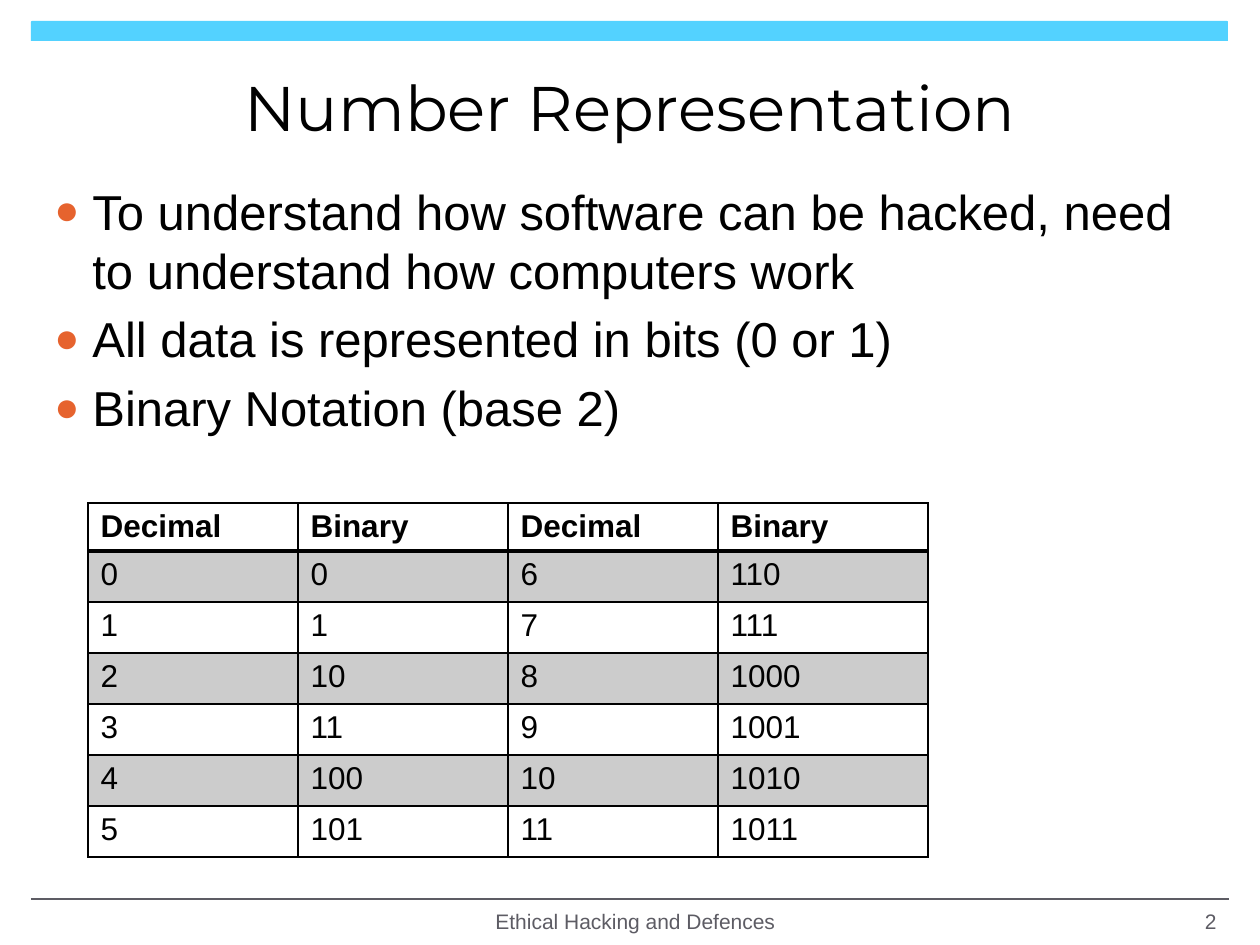
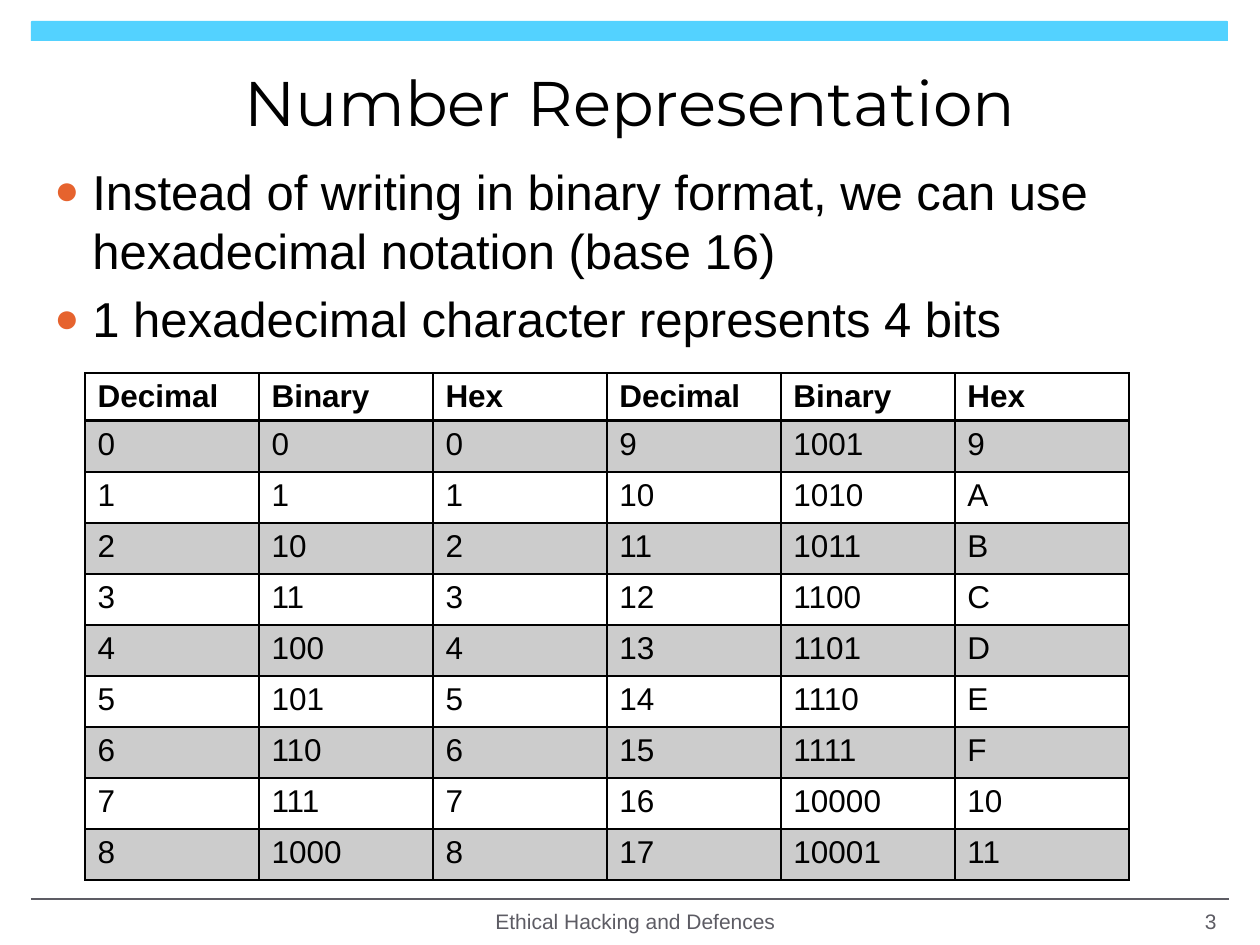
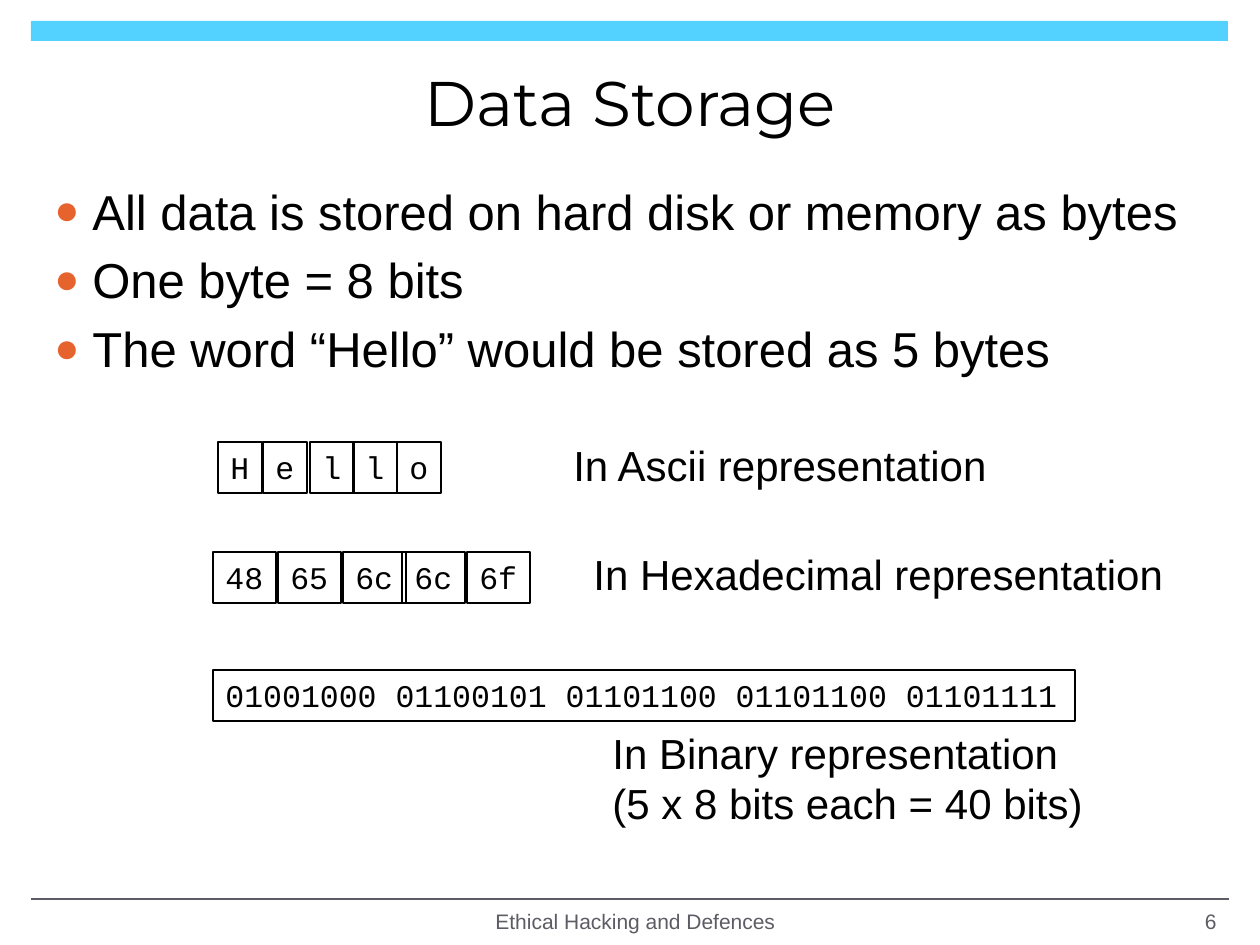
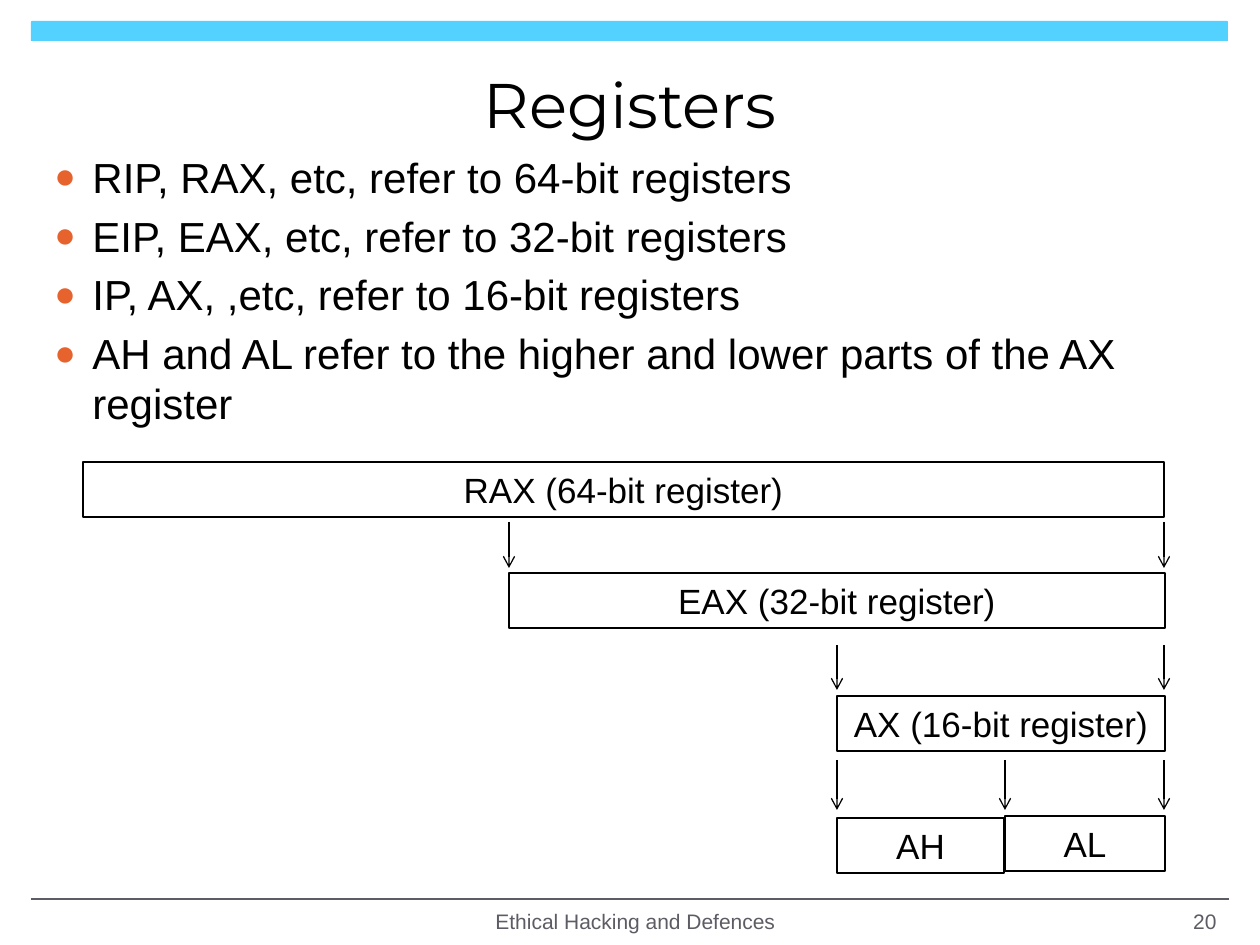
import lxml.etree
import pptx
import pptx.dml.color
import pptx.enum.shapes
import pptx.enum.text
import pptx.oxml.ns
import pptx.util

PX = 914400 / 126
BLACK, GREY, SKY, ORANGE = "000000", "5D5C64", "53D2FF", "E6632E"
BODY_FONT, TITLE_FONT, CODE_FONT = "Arial", "Montserrat", "Courier New"
FOOTER = "Ethical Hacking and Defences"
SHAPE = pptx.enum.shapes.MSO_SHAPE
ALIGN = pptx.enum.text.PP_ALIGN
ANCHOR = pptx.enum.text.MSO_ANCHOR
AUTO = pptx.enum.text.MSO_AUTO_SIZE


def px(*lengths):
    """Turn pixel lengths into a list of EMU."""
    return [round(n * PX) for n in lengths]


def rgb(code):
    """Turn a hex string into a colour."""
    return pptx.dml.color.RGBColor.from_string(code)


def sub(parent, tag, **attrs):
    """Append a DrawingML child element."""
    return lxml.etree.SubElement(parent, pptx.oxml.ns.qn("a:" + tag), attrs)


def add_run(p, text, size, font=BODY_FONT, color=BLACK, bold=False):
    """Add a formatted run to a paragraph."""
    r = p.add_run()
    r.text = text
    r.font.size = pptx.util.Pt(size)
    r.font.name = font
    r.font.bold = bold
    r.font.color.rgb = rgb(color)


def write(sp, lines, size, font=BODY_FONT, color=BLACK, align=ALIGN.LEFT,
          anchor=ANCHOR.TOP, wrap=True, grow=False):
    """Write lines into a shape, one paragraph each, and return its paragraphs."""
    tf = sp.text_frame
    tf.word_wrap = wrap
    tf.auto_size = AUTO.SHAPE_TO_FIT_TEXT if grow else AUTO.NONE
    tf.vertical_anchor = anchor
    for i, line in enumerate(lines):
        p = tf.add_paragraph() if i else tf.paragraphs[0]
        p.alignment = align
        add_run(p, line, size, font, color)
    return tf.paragraphs


def add_text(slide, box, lines, size, **style):
    """Add a text box and return its paragraphs."""
    return write(slide.shapes.add_textbox(*px(*box)), lines, size, **style)


def add_box(slide, box, text, size, **style):
    """Add an outlined rectangle holding one line of text."""
    sp = slide.shapes.add_shape(SHAPE.RECTANGLE, *px(*box))
    sp.shadow.inherit = False
    sp.fill.background()
    sp.line.color.rgb = rgb(BLACK)
    sp.line.width = pptx.util.Pt(0.75)
    write(sp, [text], size, grow=True, **style)
    return sp


def add_line(slide, ends, color=BLACK, width=0.75, arrow=False):
    """Add a straight line, with an arrowhead at its end if wanted."""
    c = slide.shapes.add_connector(pptx.enum.shapes.MSO_CONNECTOR.STRAIGHT, *px(*ends))
    c.line.color.rgb = rgb(color)
    c.line.width = pptx.util.Pt(width)
    sp_pr = c._element.spPr
    if arrow:
        sub(sp_pr.find(pptx.oxml.ns.qn("a:ln")), "tailEnd", type="arrow")
    sub(sp_pr, "effectLst")


def add_bullets(slide, top, height, lines, size=28):
    """Add the bulleted body text."""
    paragraphs = add_text(slide, (42, top, 1176, height), lines, size)
    for i, p in enumerate(paragraphs):
        p_pr = p._p.get_or_add_pPr()
        indent = px(38)[0]
        p_pr.set("marL", str(indent))
        p_pr.set("indent", str(-indent))
        sub(sub(p_pr, "buClr"), "srgbClr", val=ORANGE)
        sub(p_pr, "buSzPct", val="85000")
        sub(p_pr, "buFont", typeface=BODY_FONT)
        sub(p_pr, "buChar", char="●")
        if i:
            p.space_before = pptx.util.Pt(size / 5)


def style_cell(cell, row):
    """Draw the borders and fill of a cell by its row."""
    tc_pr = cell._tc.get_or_add_tcPr()
    widths = {"lnL": 1, "lnR": 1, "lnT": 2 if row == 1 else 1, "lnB": 1 if row else 2}
    for side, width in widths.items():
        ln = sub(tc_pr, side, w=str(pptx.util.Pt(width)))
        sub(sub(ln, "solidFill"), "srgbClr", val=BLACK)
    if row % 2:
        shade = sub(sub(tc_pr, "solidFill"), "srgbClr", val=BLACK)
        sub(shade, "alpha", val="20000")
    else:
        cell.fill.background()


def add_grid(slide, left, top, col_width, rows):
    """Add a banded table with a bold header row."""
    header, row_height = 48, 51
    n_rows, n_cols = len(rows), len(rows[0])
    height = header + row_height * (n_rows - 1)
    table = slide.shapes.add_table(
        n_rows, n_cols, *px(left, top, col_width * n_cols, height)).table
    table.horz_banding = False
    for column in table.columns:
        column.width = px(col_width)[0]
    for i, row in enumerate(rows):
        table.rows[i].height = px(row_height if i else header)[0]
        for j, text in enumerate(row):
            cell = table.cell(i, j)
            add_run(cell.text_frame.paragraphs[0], text, 18, bold=i == 0)
            style_cell(cell, i)


def number_rows(count, formats):
    """List the numbers below 2 * count in two halves, side by side."""
    rows = [list(formats) * 2]
    for n in range(count):
        rows.append([format(v, f) for v in (n, n + count) for f in formats.values()])
    return rows


def new_slide(prs, title, number, title_height=127):
    """Add a slide with band, title, rule and footer."""
    slide = prs.slides.add_slide(prs.slide_layouts[6])
    band = slide.shapes.add_shape(SHAPE.ROUND_2_SAME_RECTANGLE, *px(31, 21, 1197, 20))
    band.adjustments[0] = 0.05
    band.adjustments[1] = 0
    band.shadow.inherit = False
    band.fill.solid()
    band.fill.fore_color.rgb = rgb(SKY)
    band.line.fill.background()
    add_line(slide, (31, 899, 1229, 899), GREY, 1)
    add_text(slide, (42, 38, 1176, title_height), [title], 36, font=TITLE_FONT,
             align=ALIGN.CENTER, anchor=ANCHOR.MIDDLE)
    for left, width, text, align in ((399, 473, FOOTER, ALIGN.CENTER),
                                     (935, 294, str(number), ALIGN.RIGHT)):
        add_text(slide, (left, 899, width, 44), [text], 12, color=GREY,
                 align=align, anchor=ANCHOR.MIDDLE)
    return slide


def binary_slide(prs):
    """Build the binary notation slide."""
    slide = new_slide(prs, "Number Representation", 2, 137)
    add_bullets(slide, 175, 668, [
        "To understand how software can be hacked, need to understand how computers work",
        "All data is represented in bits (0 or 1)",
        "Binary Notation (base 2)"])
    add_grid(slide, 88, 503, 210, number_rows(6, {"Decimal": "d", "Binary": "b"}))


def hex_slide(prs):
    """Build the hexadecimal notation slide."""
    slide = new_slide(prs, "Number Representation", 3)
    add_bullets(slide, 155, 727, [
        "Instead of writing in binary format, we can use hexadecimal notation (base 16)",
        "1 hexadecimal character represents 4 bits"])
    formats = {"Decimal": "d", "Binary": "b", "Hex": "X"}
    add_grid(slide, 85, 373, 174, number_rows(9, formats))


def storage_slide(prs):
    """Build the data storage slide."""
    slide = new_slide(prs, "Data Storage", 6)
    add_bullets(slide, 175, 707, [
        "All data is stored on hard disk or memory as bytes",
        "One byte = 8 bits",
        "The word “Hello” would be stored as 5 bytes"])
    word = "Hello"
    ascii_lefts = (218, 263, 310, 353, 397)
    hex_lefts = (213, 278, 343, 402, 467)
    cells = [(left, 442, 44, c) for left, c in zip(ascii_lefts, word)]
    cells += [(left, 552, 63, format(ord(c), "x")) for left, c in zip(hex_lefts, word)]
    cells.append((213, 670, 862, " ".join(format(ord(c), "08b") for c in word)))
    for left, top, width, text in cells:
        add_box(slide, (left, top, width, 51), text, 18, font=CODE_FONT, wrap=False)
    for box, lines in (
            ((561, 433, 444, 63), ["In Ascii representation"]),
            ((581, 542, 601, 63), ["In Hexadecimal representation"]),
            ((600, 721, 500, 115), ["In Binary representation",
                                    "(5 x 8 bits each = 40 bits)"])):
        add_text(slide, box, lines, 24, wrap=False, grow=True)


def registers_slide(prs):
    """Build the registers slide."""
    slide = new_slide(prs, "Registers", 20, 130)
    add_bullets(slide, 145, 737, [
        "RIP, RAX, etc, refer to 64-bit registers",
        "EIP, EAX, etc, refer to 32-bit registers",
        "IP, AX, ,etc, refer to 16-bit registers",
        "AH and AL refer to the higher and lower parts of the AX register"], 24)
    registers = [add_box(slide, (left, top, width, 55), text, 20, align=ALIGN.CENTER)
                 for left, top, width, text in (
                     (83, 462, 1081, "RAX (64-bit register)"),
                     (509, 573, 656, "EAX (32-bit register)"),
                     (837, 696, 328, "AX (16-bit register)"),
                     (837, 818, 167, "AH"),
                     (1005, 816, 160, "AL"))]
    slide.shapes.add_group_shape(registers[-2:])
    for top, bottom, xs in ((522, 568, (509, 1164)),
                            (645, 690, (837, 1164)),
                            (760, 810, (837, 1005, 1164))):
        for x in xs:
            add_line(slide, (x, top, x, bottom), arrow=True)


def main():
    """Build and save the presentation."""
    prs = pptx.Presentation()
    prs.slide_width, prs.slide_height = px(1260, 945)
    binary_slide(prs)
    hex_slide(prs)
    storage_slide(prs)
    registers_slide(prs)
    prs.save("out.pptx")


if __name__ == "__main__":
    main()
